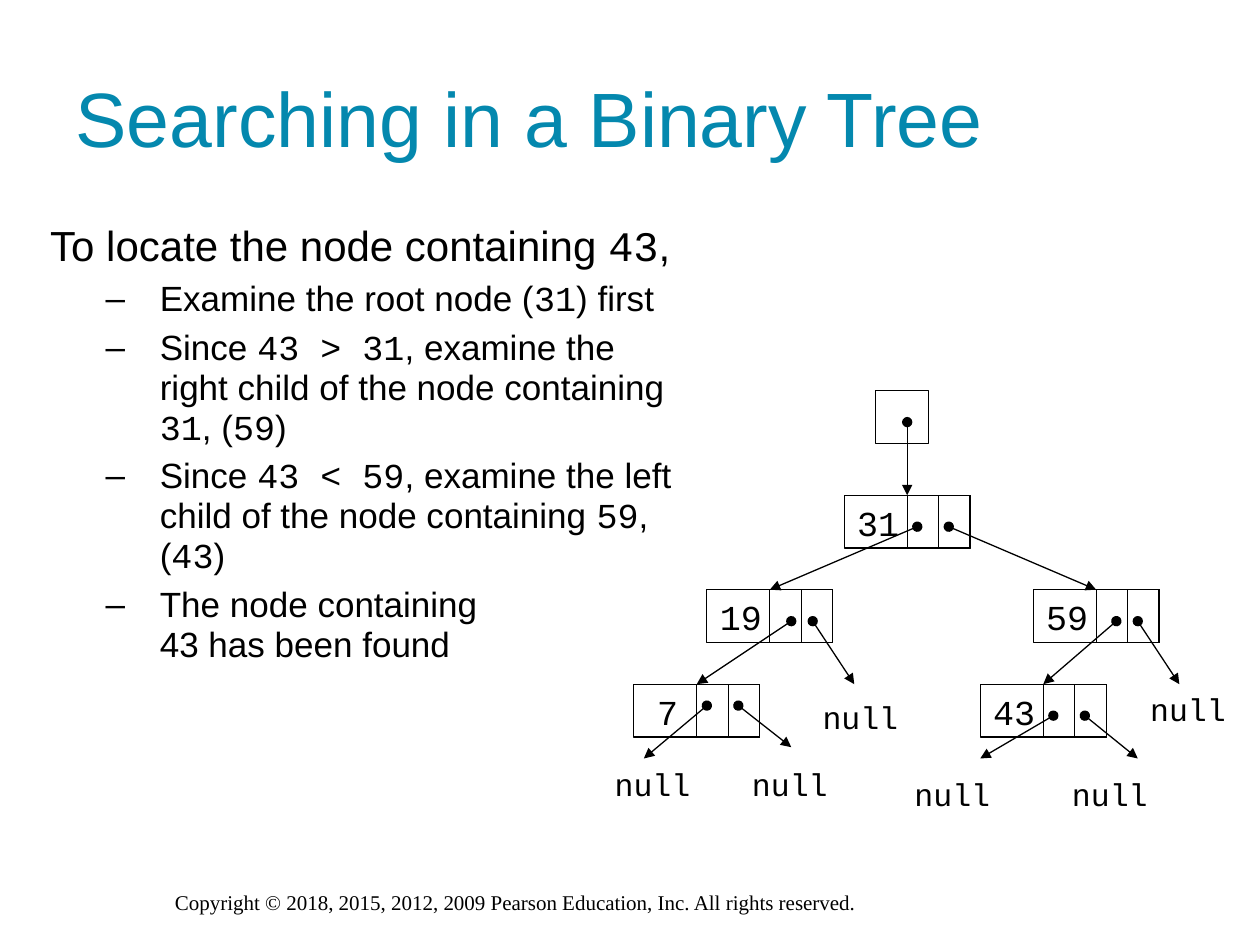
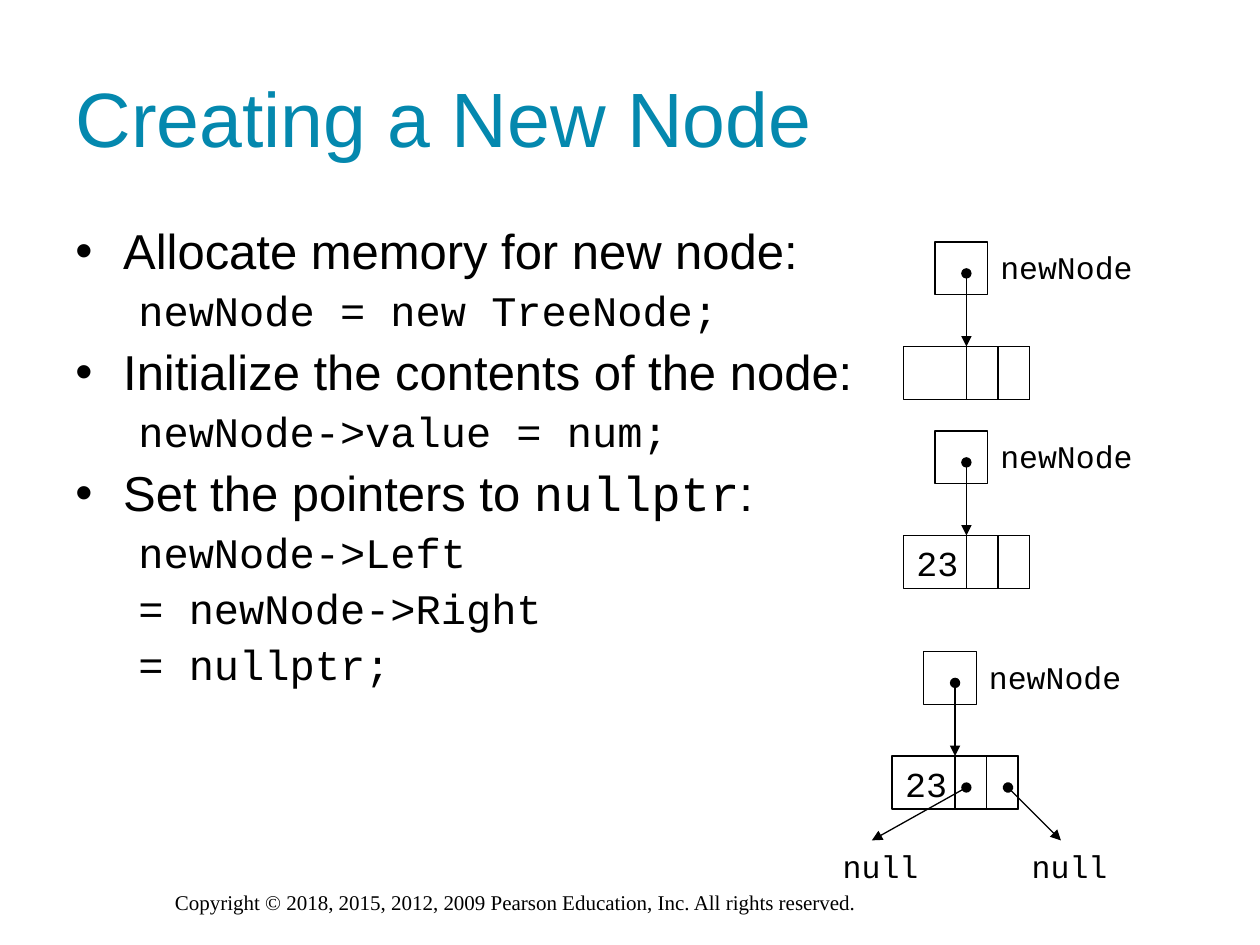
import lxml.etree
import pptx
import pptx.dml.color
import pptx.enum.shapes
import pptx.enum.text
import pptx.oxml.ns
import pptx.util

Inches = pptx.util.Inches
Pt = pptx.util.Pt

COLORS = {"title": "0488AE", "ink": "000000"}
SANS, MONO, SERIF = "Arial", "Courier New", "Times New Roman"
COPYRIGHT = "Copyright © 2018, 2015, 2012, 2009 Pearson Education, Inc. All rights reserved."

CELL = 0.42            # height of a node and side of a pointer box
LINK = 0.25            # width of one link field
NODE_WIDTH = 1.0
LEFT_LINK, RIGHT_LINK = 0.5, 0.75


def color(name):
    return pptx.dml.color.RGBColor.from_string(COLORS[name])


def add_child(parent, tag, **attributes):
    return lxml.etree.SubElement(parent, pptx.oxml.ns.qn(tag), attributes)


def style(paragraph, size, font=SANS, ink="ink"):
    paragraph.font.size = Pt(size)
    paragraph.font.name = font
    paragraph.font.color.rgb = color(ink)


def add_text(slide, left, top, width, height, wrap=True):
    box = slide.shapes.add_textbox(Inches(left), Inches(top), Inches(width), Inches(height))
    box.text_frame.word_wrap = wrap
    return box.text_frame


def add_label(slide, left, top, width, height, text, size, centered=False):
    paragraph = add_text(slide, left, top, width, height, wrap=False).paragraphs[0]
    paragraph.text = text
    if centered:
        paragraph.alignment = pptx.enum.text.PP_ALIGN.CENTER
    style(paragraph, size, MONO)


def add_titled_slide(deck, title):
    slide = deck.slides.add_slide(deck.slide_layouts[5])
    heading = slide.shapes.title
    heading.left, heading.top = Inches(0.5), Inches(0.3)
    heading.width, heading.height = Inches(9), Inches(1.25)
    heading.text_frame.text = title
    heading.text_frame.vertical_anchor = pptx.enum.text.MSO_ANCHOR.MIDDLE
    paragraph = heading.text_frame.paragraphs[0]
    paragraph.alignment = pptx.enum.text.PP_ALIGN.LEFT
    style(paragraph, 44, ink="title")

    footer = add_text(slide, 1.29, 7.01, 7.42, 0.3).paragraphs[0]
    footer.text = COPYRIGHT
    style(footer, 12, SERIF)
    return slide


def add_body(slide, box, items, levels, line_spacing):
    """Write (level, text) items; text between backticks is set in the code font."""
    frame = add_text(slide, *box)
    for index, (level, text) in enumerate(items):
        paragraph = frame.paragraphs[0] if index == 0 else frame.add_paragraph()
        look = levels[level]
        paragraph.line_spacing = line_spacing
        if index:
            paragraph.space_before = Pt(look["before"])
        properties = paragraph._p.get_or_add_pPr()
        properties.set("marL", str(Inches(look["margin"])))
        properties.set("indent", str(Inches(-look.get("hang", 0))))
        if "bullet" in look:
            add_child(properties, "a:buFont", typeface=SANS)
            add_child(properties, "a:buChar", char=look["bullet"])
        style(paragraph, look["size"], look.get("font", SANS))
        pieces = text.split("`")
        if len(pieces) == 1:
            paragraph.text = text
            continue
        for position, piece in enumerate(pieces):
            if piece:
                run = paragraph.add_run()
                run.text = piece
                run.font.name = MONO if position % 2 else SANS
    return frame


def add_cell(slide, left, top, width):
    cell = slide.shapes.add_shape(pptx.enum.shapes.MSO_SHAPE.RECTANGLE, Inches(left),
                                  Inches(top), Inches(width), Inches(CELL))
    cell.shadow.inherit = False
    cell.fill.background()
    cell.line.color.rgb = color("ink")
    cell.line.width = Pt(0.75)


def add_pointer(slide, start, tip):
    """Draw a line with a dot at its start and an arrowhead at its tip."""
    pointer = slide.shapes.add_connector(pptx.enum.shapes.MSO_CONNECTOR.STRAIGHT,
                                         *map(Inches, (*start, *tip)))
    pointer.line.color.rgb = color("ink")
    pointer.line.width = Pt(0.75)
    outline = pointer.line._get_or_add_ln()
    add_child(outline, "a:headEnd", type="oval")
    add_child(outline, "a:tailEnd", type="triangle")
    add_child(pointer._element.spPr, "a:effectLst")


def add_null_pointer(slide, start, tip, label_shift=(-0.33, 0)):
    add_pointer(slide, start, tip)
    add_label(slide, tip[0] + label_shift[0], tip[1] + label_shift[1], 0.8, 0.4, "null", 18)


def add_node(slide, left, top, value=""):
    add_cell(slide, left, top, NODE_WIDTH)
    for link in (LEFT_LINK, RIGHT_LINK):
        add_cell(slide, left + link, top, LINK)
    if value:
        add_label(slide, left, top, 0.54, 0.44, value, 20, centered=True)


def add_pointed_node(slide, left, top, value="", pointer_name=""):
    """Draw a node and, above it, the pointer variable that leads to it."""
    pointer_left, pointer_top = left + 0.25, top - 0.83
    add_cell(slide, pointer_left, pointer_top, CELL)
    add_node(slide, left, top, value)
    add_pointer(slide, (left + 0.5, top - 0.58), (left + 0.5, top))
    if pointer_name:
        add_label(slide, pointer_left + CELL, pointer_top, 1.25, 0.4, pointer_name, 18)


def add_search_tree(slide, left, top):
    root = "31"
    nodes = {"31": (1.92, 0.83), "59": (3.42, 1.58), "19": (0.83, 1.58),
             "7": (0.25, 2.33), "43": (3.0, 2.33)}
    # parent, dot offset within the parent, child
    child_links = [("31", (0.58, 0.25), "19"), ("31", (0.83, 0.25), "59"),
                   ("19", (0.67, 0.25), "7"), ("59", (0.66, 0.25), "43")]
    # parent, dot offset within the parent, tip within the tree, label shift
    null_links = [("19", (0.84, 0.25), (2.0, 2.33), (-0.35, 0.06)),
                  ("59", (0.83, 0.25), (4.58, 2.33), (-0.33, 0)),
                  ("7", (0.58, 0.17), (0.33, 2.92), (-0.33, 0)),
                  ("7", (0.83, 0.17), (1.5, 2.83), (-0.41, 0.09)),
                  ("43", (0.58, 0.25), (3.0, 2.92), (-0.62, 0.08)),
                  ("43", (0.83, 0.25), (4.25, 2.92), (-0.62, 0.08))]

    def place(point, offset=(0, 0)):
        return left + point[0] + offset[0], top + point[1] + offset[1]

    for value, corner in nodes.items():
        draw = add_pointed_node if value == root else add_node
        draw(slide, *place(corner), value)
    for parent, dot, child in child_links:
        add_pointer(slide, place(nodes[parent], dot), place(nodes[child], (LEFT_LINK, 0)))
    for parent, dot, tip, label_shift in null_links:
        add_null_pointer(slide, place(nodes[parent], dot), place(tip), label_shift)


def add_leaf_node(slide, left, top, value, pointer_name):
    """Draw a pointed node whose two links are null."""
    add_pointed_node(slide, left, top, value, pointer_name)
    for dot, tip in ((0.59, -0.16), (0.92, 1.34)):
        add_null_pointer(slide, (left + dot, top + 0.25), (left + tip, top + 0.67))


def build_searching_slide(deck):
    slide = add_titled_slide(deck, "Searching in a Binary Tree")
    levels = [{"margin": 0.13, "before": 7, "size": 24},
              {"margin": 1.0, "hang": 0.43, "before": 5, "size": 20, "bullet": "–"}]
    steps = [
        (0, "To locate the node containing `43`,"),
        (1, "Examine the root node (`31`) first"),
        (1, "Since `43 > 31`, examine the right child of the node containing `31`, (`59`)"),
        (1, "Since `43 < 59`, examine the left child of the node containing `59`, (`43`)"),
        (1, "The node containing\v43 has been found"),
    ]
    frame = add_body(slide, (0.17, 1.67, 5.32, 4.75), steps, levels, 0.95)
    frame.margin_top = Inches(0.1)
    add_search_tree(slide, 4.78, 3.1)


def build_new_node_slide(deck):
    slide = add_titled_slide(deck, "Creating a New Node")
    levels = [{"margin": 0.38, "hang": 0.38, "before": 7, "size": 28, "bullet": "•"},
              {"margin": 0.5, "before": 6, "size": 24, "font": MONO}]
    steps = [
        (0, "Allocate memory for new node:"),
        (1, "newNode = new TreeNode;"),
        (0, "Initialize the contents of the node:"),
        (1, "newNode->value = num;"),
        (0, "Set the pointers to `nullptr`:"),
        (1, "newNode->Left"),
        (1, "= newNode->Right"),
        (1, "= nullptr;"),
    ]
    add_body(slide, (0.5, 1.75, 7.93, 4.5), steps, levels, 0.9)
    add_pointed_node(slide, 7.17, 2.75, pointer_name="newNode")
    add_pointed_node(slide, 7.17, 4.25, "23", "newNode")
    add_leaf_node(slide, 7.08, 6.0, "23", "newNode")


def main():
    deck = pptx.Presentation()
    deck.slide_width, deck.slide_height = Inches(10), Inches(7.5)
    build_searching_slide(deck)
    build_new_node_slide(deck)
    deck.save("out.pptx")


if __name__ == "__main__":
    main()
